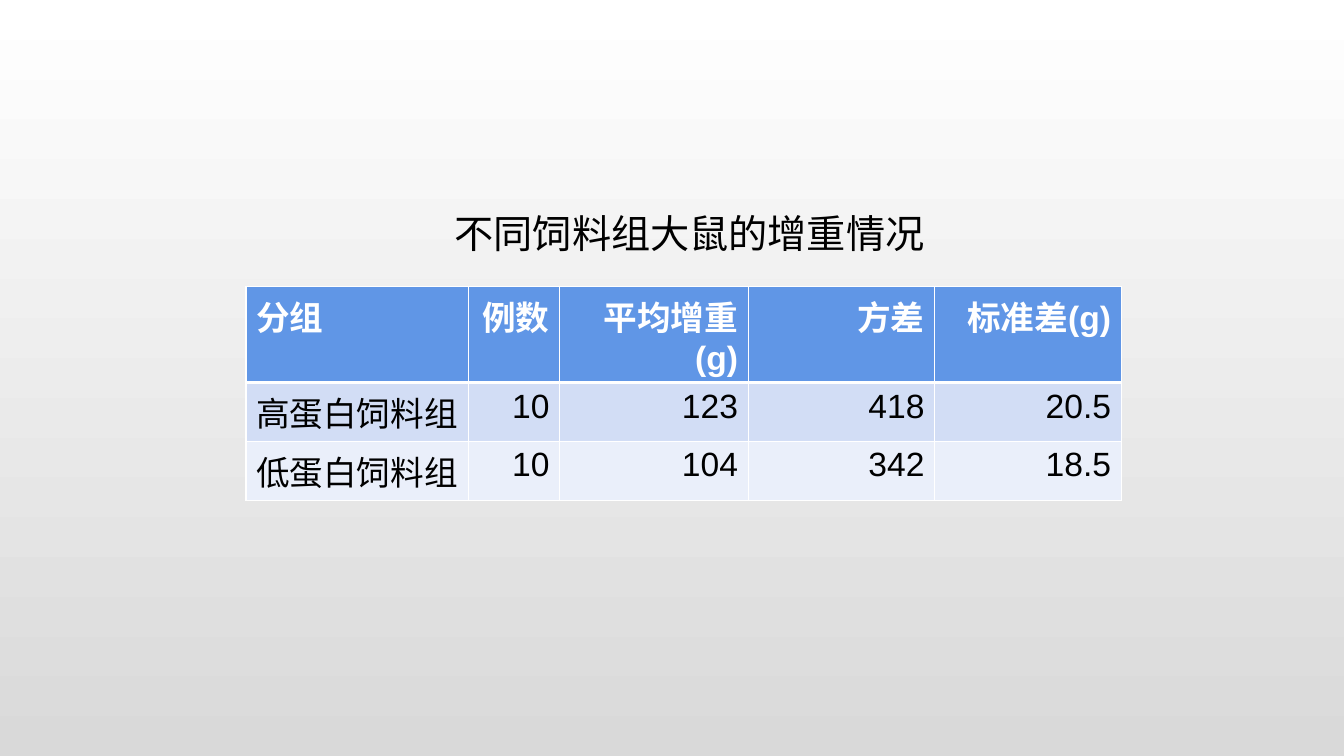
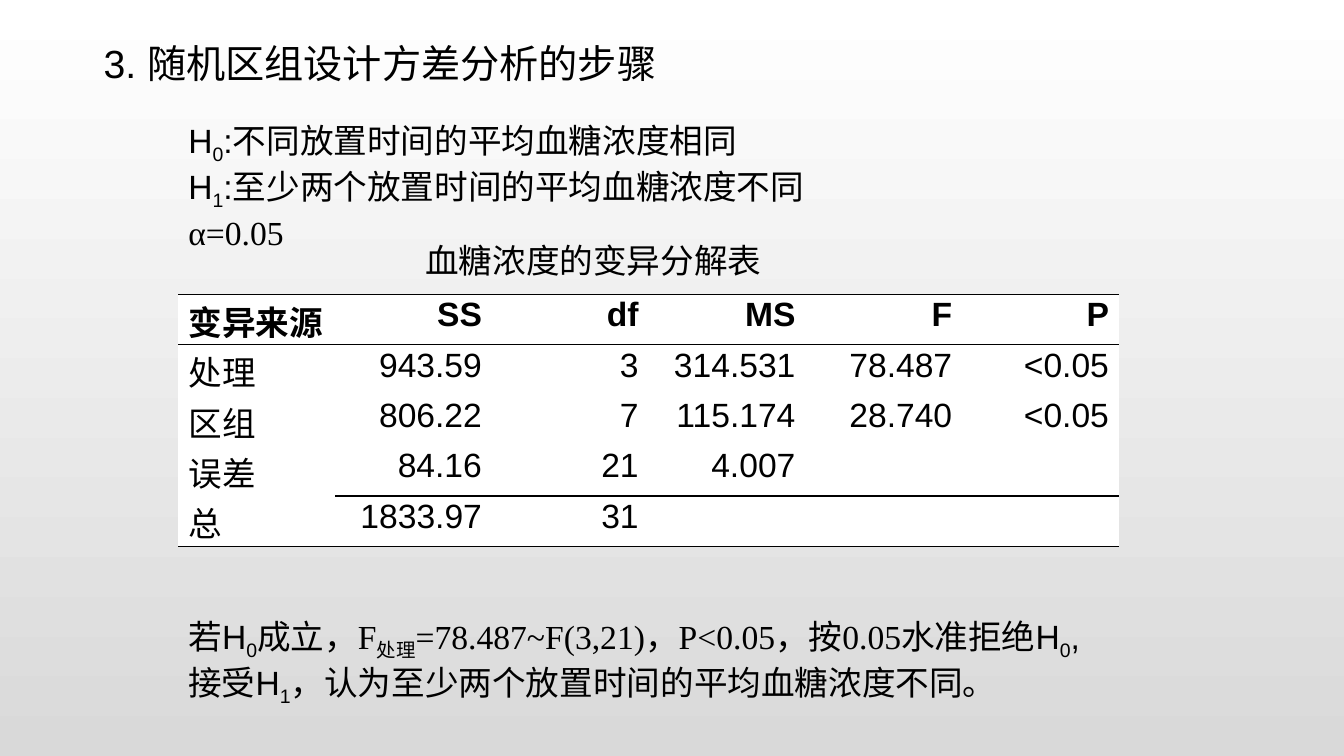
from lxml import etree
from pptx import Presentation
from pptx.dml.color import RGBColor
from pptx.enum.lang import MSO_LANGUAGE_ID
from pptx.enum.text import PP_ALIGN
from pptx.oxml.ns import qn
from pptx.util import Inches, Pt

LEFT, RIGHT = PP_ALIGN.LEFT, PP_ALIGN.RIGHT
CHINESE = MSO_LANGUAGE_ID.SIMPLIFIED_CHINESE

# Shared look
ARIAL, TIMES = "Arial", "Times New Roman"
BLACK, WHITE, GREY = "000000", "FFFFFF", "D9D9D9"
HEADER_BLUE = "6096E6"
BAND_BLUES = ["D2DDF5", "EAEFFA"]
TITLE_SIZE, BODY_SIZE = 28, 24
SIDES = {"l": "a:lnL", "r": "a:lnR", "t": "a:lnT", "b": "a:lnB"}


def rgb(color):
    return RGBColor.from_string(color)


def add_slide(prs):
    """Blank slide on the white-to-grey gradient."""
    s = prs.slides.add_slide(prs.slide_layouts[6])
    fill = s.background.fill
    fill.gradient()
    fill.gradient_angle = 270
    for stop, color in zip(fill.gradient_stops, (WHITE, GREY)):
        stop.color.rgb = rgb(color)
    return s


def add_run(p, text, font=ARIAL, size=BODY_SIZE, color=BLACK, bold=False, sub=False):
    r = p.add_run()
    r.text = text
    formats = {"name": font, "size": Pt(size), "bold": bold, "language_id": CHINESE}
    for name, value in formats.items():
        setattr(r.font, name, value)
    r.font.color.rgb = rgb(color)
    if sub:
        r.font._element.set("baseline", "-25000")


def add_text(s, box, paragraphs, size=BODY_SIZE):
    """Each paragraph is a list of (text, font) or (text, font, subscript)."""
    tf = s.shapes.add_textbox(*map(Inches, box)).text_frame
    tf.word_wrap = True
    for i, runs in enumerate(paragraphs):
        p = tf.paragraphs[0] if i == 0 else tf.add_paragraph()
        for text, font, *sub in runs:
            add_run(p, text, font, size, sub=bool(sub))


def set_borders(cell, borders):
    """borders maps a side to (colour, points); other sides get no line."""
    tcPr = cell._tc.get_or_add_tcPr()
    for side, tag in SIDES.items():
        color, width = borders.get(side, (None, 0))
        ln = etree.SubElement(tcPr, qn(tag), w=str(Pt(width)))
        if color:
            fill = etree.SubElement(ln, qn("a:solidFill"))
            etree.SubElement(fill, qn("a:srgbClr"), val=color)
        else:
            etree.SubElement(ln, qn("a:noFill"))


def add_table(s, at, widths, heights, rows, style, margins):
    """style(row, col) gives the fill, text colour and borders of a cell."""
    size = (sum(widths), sum(heights))
    frame = s.shapes.add_table(len(rows), len(widths), *map(Inches, (*at, *size)))
    table = frame.table
    for column, width in zip(table.columns, widths):
        column.width = Inches(width)
    for i, (height, values) in enumerate(zip(heights, rows)):
        table.rows[i].height = Inches(height)
        for j, value in enumerate(values):
            cell = table.cell(i, j)
            fill, color, borders = style(i, j)
            set_borders(cell, borders)
            cell.fill.solid()
            cell.fill.fore_color.rgb = rgb(fill)
            cell.margin_top, cell.margin_bottom = map(Inches, margins)
            if value:
                p = cell.text_frame.paragraphs[0]
                p.alignment = RIGHT if j else LEFT
                add_run(p, value, color=color, bold=i == 0)


def banded_style(i, j):
    """Blue header, alternating body rows, white grid."""
    borders = {side: (WHITE, 1) for side in SIDES}
    if i == 0:
        borders["b"] = (WHITE, 3)
        return HEADER_BLUE, WHITE, borders
    if i == 1:
        borders["t"] = (WHITE, 3)
    return BAND_BLUES[(i - 1) % 2], BLACK, borders


def ruled_style(i, j):
    """White cells with rules around the header and the total row."""
    rule = (BLACK, 1)
    borders = {}
    if i in (0, 1) or (i == 4 and j):
        borders["t"] = rule
    if i in (0, 4) or (i == 3 and j):
        borders["b"] = rule
    return WHITE, BLACK, borders


def weight_gain_slide(prs):
    s = add_slide(prs)
    rows = [
        ["分组", "例数", "平均增重(g)", "方差", "标准差(g)"],
        ["高蛋白饲料组", "10", "123", "418", "20.5"],
        ["低蛋白饲料组", "10", "104", "342", "18.5"],
    ]
    add_table(s, (2.44, 2.84), [2.21, 0.9, 1.87, 1.85, 1.85], [0.95, 0.58, 0.58],
              rows, banded_style, (0.05, 0.05))
    add_text(s, (4.41, 2.03, 5.35, 0.57), [[("不同饲料组大鼠的增重情况", TIMES)]], TITLE_SIZE)


def block_design_slide(prs):
    s = add_slide(prs)
    add_text(s, (0.93, 0.34, 8.57, 0.57), [[("3. 随机区组设计方差分析的步骤", ARIAL)]], TITLE_SIZE)

    # Hypotheses
    add_text(s, (1.77, 1.14, 9.12, 1.4), [
        [("H", ARIAL), ("0", ARIAL, True), (":不同放置时间的平均血糖浓度相同", ARIAL)],
        [("H", ARIAL), ("1", ARIAL, True), (":至少两个放置时间的平均血糖浓度不同", ARIAL)],
        [("α=0.05", TIMES)],
    ])

    # Variance table
    add_text(s, (4.12, 2.33, 3.8, 0.5), [[("血糖浓度的变异分解表", ARIAL)]])
    rows = [
        ["变异来源", "SS", "df", "MS", "F", "P"],
        ["处理", "943.59", "3", "314.531", "78.487", "<0.05"],
        ["区组", "806.22", "7", "115.174", "28.740", "<0.05"],
        ["误差", "84.16", "21", "4.007", "", ""],
        ["总", "1833.97", "31", "", "", ""],
    ]
    add_table(s, (1.77, 2.92), [1.555] * 6, [0.5] * 5, rows, ruled_style, (0.02, 0))

    # Conclusion
    add_text(s, (1.77, 6.06, 9.12, 1), [[
        ("若", TIMES), ("H", ARIAL), ("0", ARIAL, True), ("成立，", ARIAL),
        ("F", TIMES), ("处理", TIMES, True),
        ("=78.487~F(3,21)，P<0.05，按0.05水准拒绝", TIMES),
        ("H", ARIAL), ("0", ARIAL, True), (",接受H", ARIAL), ("1", ARIAL, True),
        ("，认为至少两个放置时间的平均血糖浓度不同。", ARIAL),
    ]])


def main():
    prs = Presentation()
    prs.slide_width, prs.slide_height = Inches(13.33), Inches(7.5)
    weight_gain_slide(prs)
    block_design_slide(prs)
    prs.save("out.pptx")


if __name__ == "__main__":
    main()
